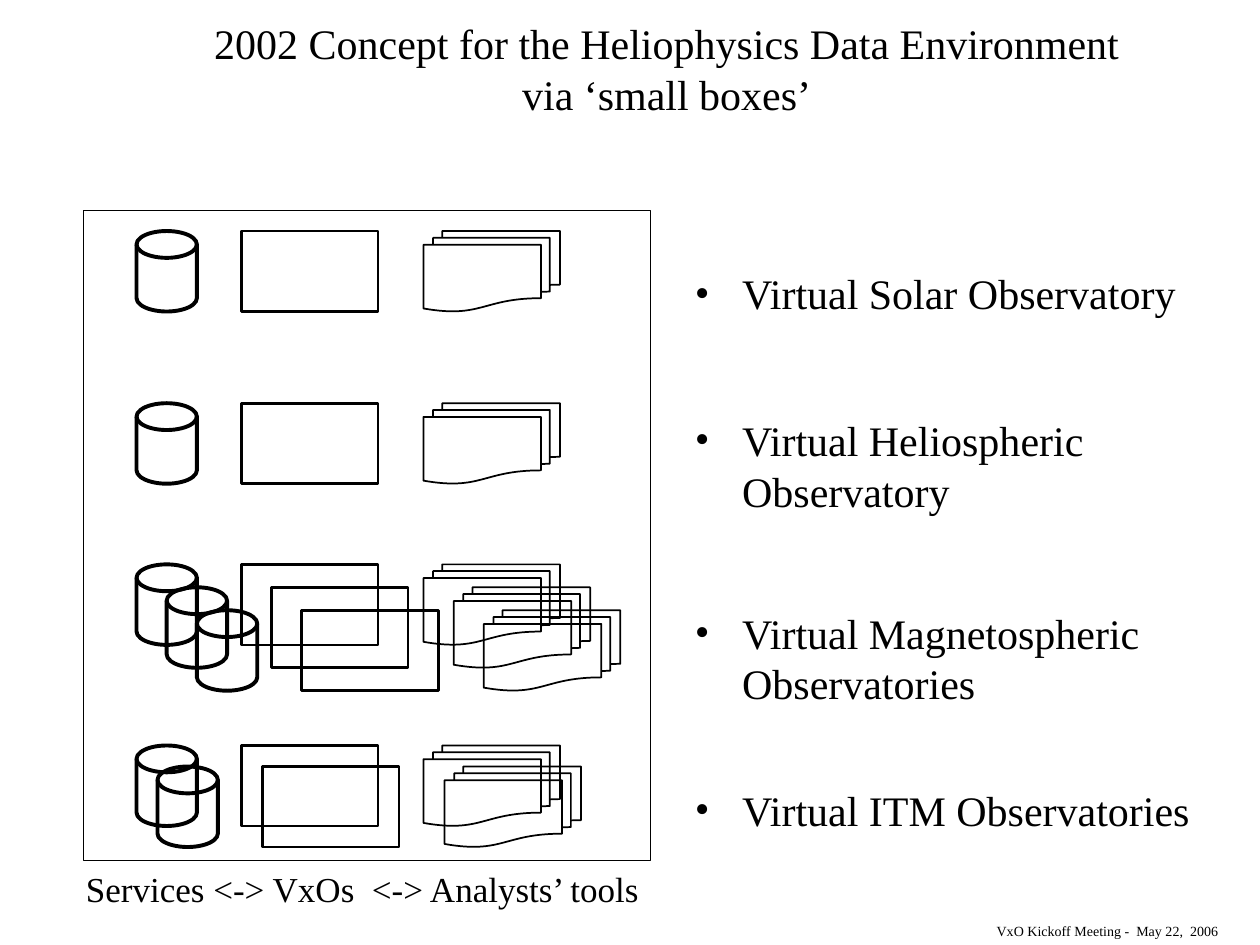
from pptx import Presentation
from pptx.dml.color import RGBColor
from pptx.enum import shapes, text
from pptx.util import Pt
from lxml import etree

INK = "000000"
FONT = "Times New Roman"
NS = "http://schemas.openxmlformats.org/drawingml/2006/main"
kind = shapes.MSO_SHAPE
align = text.PP_ALIGN
mid = text.MSO_ANCHOR.MIDDLE

deck = Presentation()
deck.slide_width, deck.slide_height = Pt(720), Pt(540)
slide = deck.slides.add_slide(deck.slide_layouts[6])


def add_text(box, lines, size, side=align.LEFT, anchor=text.MSO_ANCHOR.TOP, wrap=True):
    frame = slide.shapes.add_textbox(*map(Pt, box)).text_frame
    frame.word_wrap = wrap
    frame.vertical_anchor = anchor
    for i, line in enumerate(lines):
        para = frame.paragraphs[0] if i == 0 else frame.add_paragraph()
        para.text = line
        para.alignment = side
        para.font.name, para.font.size = FONT, Pt(size)
        para.font.color.rgb = RGBColor.from_string(INK)
    return frame


def add_form(form, x, y, w, h, line):
    shape = slide.shapes.add_shape(form, Pt(x), Pt(y), Pt(w), Pt(h))
    shape.shadow.inherit = False
    shape.fill.background()
    shape.line.color.rgb = RGBColor.from_string(INK)
    shape.line.width = Pt(line)


# Footer, title and caption
add_text((468, 523.5, 235.5, 16.5), ["VxO Kickoff Meeting -  May 22,  2006"], 8, align.RIGHT)
add_text((114, 0, 534, 78), ["2002 Concept for the Heliophysics Data Environment\vvia ‘small boxes’"],
         24, align.CENTER, mid)
add_text((42, 492, 333.5, 31.5), ["Services <-> VxOs  <-> Analysts’ tools"], 20, wrap=False)

# Bulleted list, each item level with its row of boxes
names = ["Virtual Solar Observatory", "Virtual Heliospheric Observatory",
         "Virtual Magnetospheric Observatories", "Virtual ITM Observatories"]
body = add_text((390, 114, 318, 402), names, 24, anchor=mid)
for para, gap in zip(body.paragraphs, (0, 55.2, 52.3, 43.7)):
    para.space_before = Pt(gap)
    props = para._p.get_or_add_pPr()
    props.set("marL", str(Pt(27)))
    props.set("indent", str(-Pt(27)))
    etree.SubElement(props, f"{{{NS}}}buFont", typeface=FONT)
    etree.SubElement(props, f"{{{NS}}}buChar", char="•")
    # Defaults for the text come after the bullet
    for font in props.findall(f"{{{NS}}}defRPr"):
        props.append(font)

# Frame
add_form(kind.RECTANGLE, 48, 120, 324, 372, 0.5)

# Box, store and document sets: top, number of sets, step right and down
rows = [(132, 1, 0, 0), (230.4, 1, 0, 0), (322.5, 3, 17.25, 13.1), (426, 2, 12, 12)]
parts = [(kind.RECTANGLE, 138, 78, 1.5),
         (kind.FLOWCHART_MAGNETIC_DISK, 78, 34.5, 2.25),
         (kind.FLOWCHART_MULTIDOCUMENT, 242, 78, 1)]
for top, count, right, down in rows:
    for i in range(count):
        for form, left, width, line in parts:
            add_form(form, left + i * right, top + i * down, width, 46, line)

deck.save("out.pptx")
